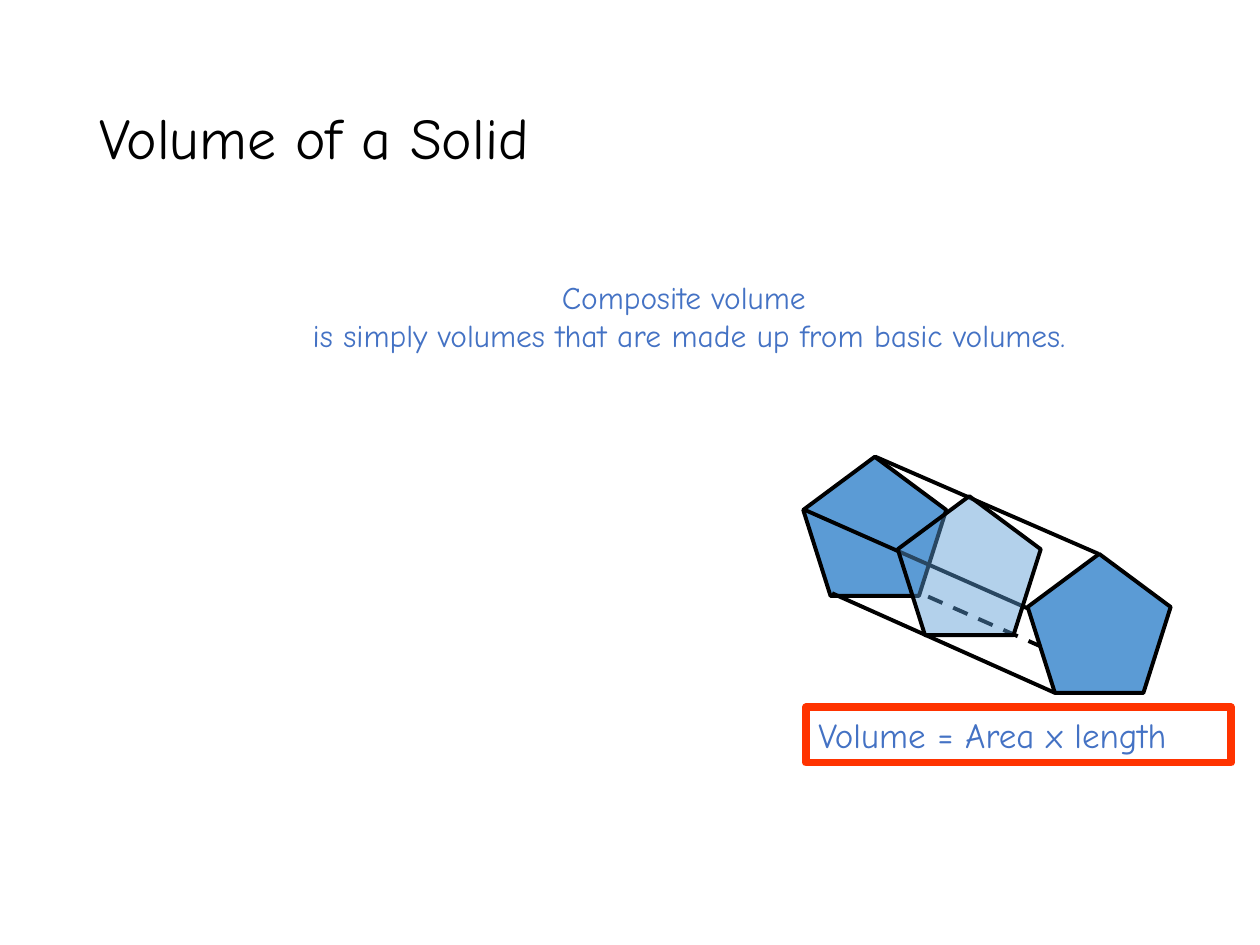
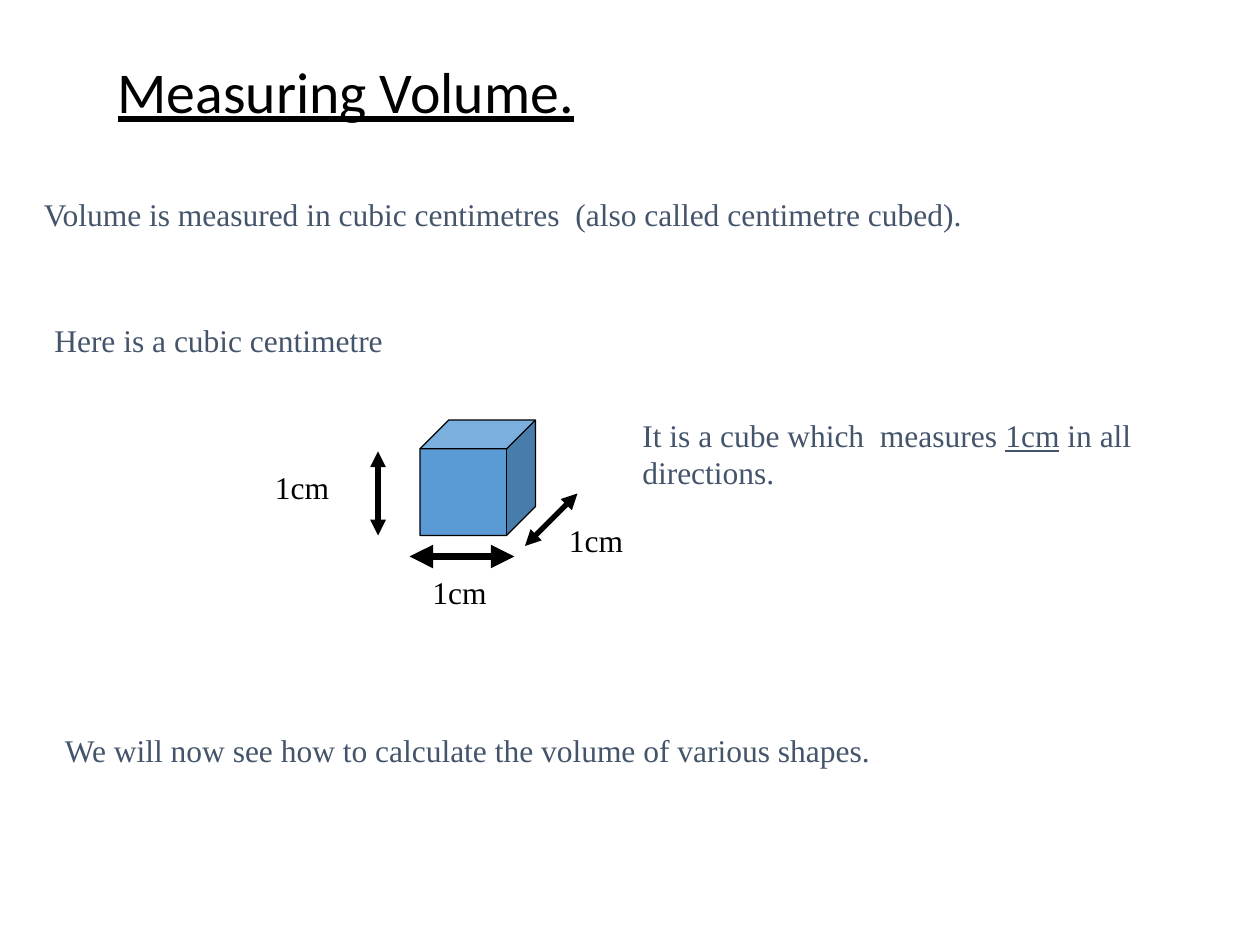
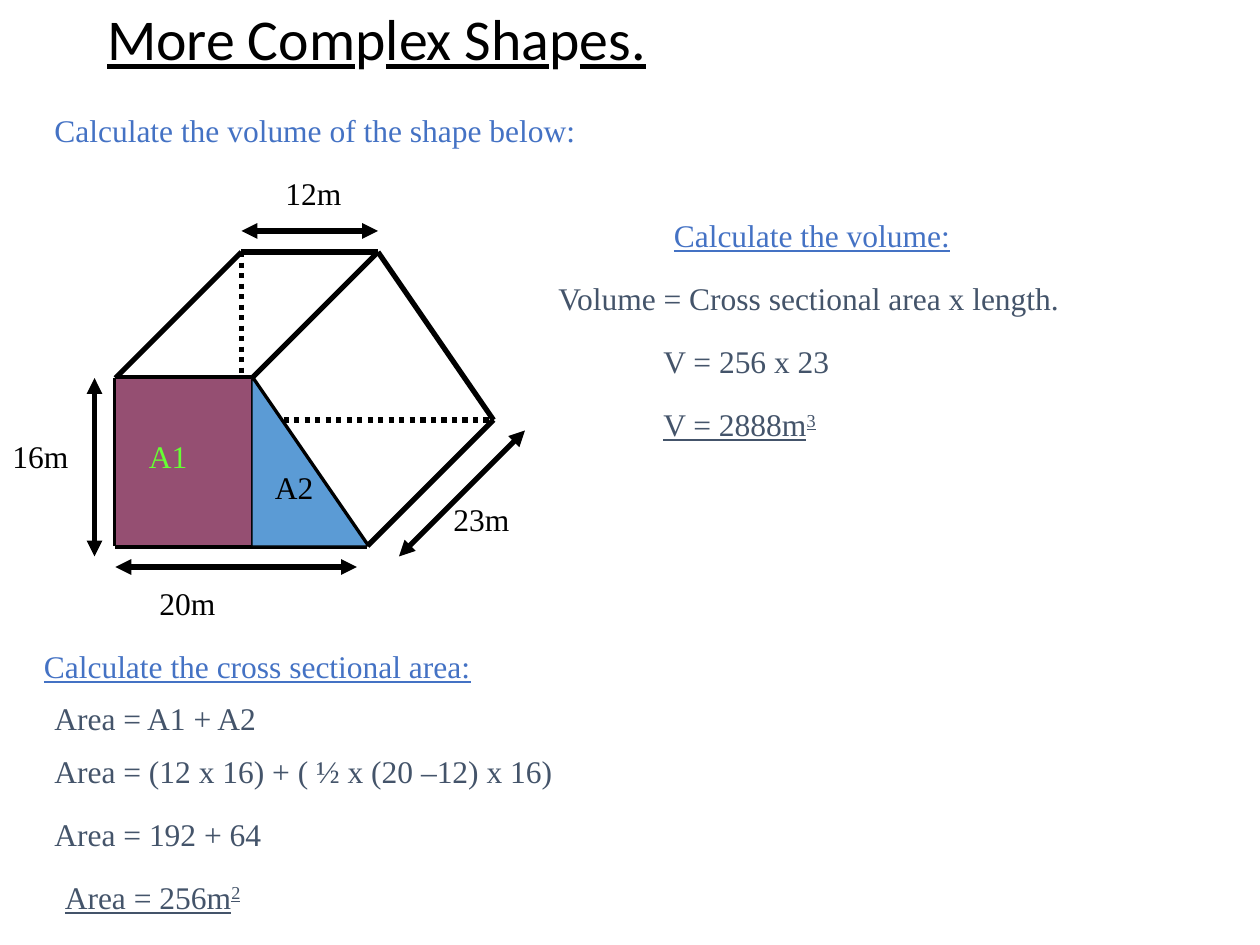
import pptx
import pptx.util
import pptx.dml.color
import pptx.enum.dml
import pptx.enum.shapes
import pptx.enum.text
import pptx.oxml.ns
import lxml.etree

RGBColor = pptx.dml.color.RGBColor
MSO_SHAPE = pptx.enum.shapes.MSO_SHAPE
DASH = pptx.enum.dml.MSO_LINE.DASH
DOT = pptx.enum.dml.MSO_LINE.ROUND_DOT
qn = pptx.oxml.ns.qn

PX = 9525
BLACK = RGBColor(0x00, 0x00, 0x00)
BLUE = RGBColor(0x44, 0x72, 0xC4)
SKY = RGBColor(0x5B, 0x9B, 0xD5)
SLATE = RGBColor(0x44, 0x54, 0x6A)
PLUM = RGBColor(0x95, 0x4F, 0x72)
GREEN = RGBColor(0x66, 0xFF, 0x33)
RED = RGBColor(0xFF, 0x33, 0x00)
COMIC = "Comic Neue"
SERIF = "Times New Roman"
SANS = "Calibri"


def add_runs(p, runs, font, size, color):
    for text, style in runs:
        r = p.add_run()
        r.text = text
        r.font.name = font
        r.font.size = pptx.util.Pt(size)
        r.font.color.rgb = color
        r.font.underline = "u" in style
        if "s" in style:
            r._r.get_or_add_rPr().set("baseline", "30000")


def add_line(slide, x1, y1, x2, y2, width, dash=None, arrows=False):
    c = slide.shapes.add_connector(
        pptx.enum.shapes.MSO_CONNECTOR.STRAIGHT, x1 * PX, y1 * PX, x2 * PX, y2 * PX)
    c.line.color.rgb = BLACK
    c.line.width = pptx.util.Pt(width)
    if dash:
        c.line.dash_style = dash
    if arrows:
        ln = c.line._get_or_add_ln()
        for end in ("a:headEnd", "a:tailEnd"):
            lxml.etree.SubElement(ln, qn(end)).set("type", "triangle")
    lxml.etree.SubElement(c._element.spPr, qn("a:effectLst"))


prs = pptx.Presentation()
prs.slide_width = 960 * PX
prs.slide_height = 720 * PX

titles = [
    (66, 38, 828, 139, COMIC, [("Volume of a Solid", "")]),
    (80, 32, 816, 80, SANS, [("Measuring Volume.", "u")]),
    (72, 0, 816, 64, SANS, [("More Com", "u"), ("p", ""), ("lex Sha", "u"),
                            ("p", ""), ("es.", "u")]),
]
for x, y, w, h, font, runs in titles:
    slide = prs.slides.add_slide(prs.slide_layouts[5])
    sp = slide.shapes.title
    sp.left, sp.top, sp.width, sp.height = x * PX, y * PX, w * PX, h * PX
    tf = sp.text_frame
    tf.auto_size = pptx.enum.text.MSO_AUTO_SIZE.NONE
    tf.vertical_anchor = pptx.enum.text.MSO_ANCHOR.MIDDLE
    p = tf.paragraphs[0]
    p.alignment = pptx.enum.text.PP_ALIGN.LEFT
    p.line_spacing = 0.9
    add_runs(p, runs, font, 33, BLACK)

solid, measuring, complex_shapes = prs.slides

prism_edges = [
    (837, 422, 667, 348, None),
    (871, 527, 699, 451, DASH),
    (784, 464, 612, 388, None),
    (804, 528, 634, 452, None),
]
house_edges = [
    (88, 416, 280, 416, None),
    (88, 416, 88, 288, None),
    (88, 288, 192, 288, None),
    (192, 288, 280, 416, None),
    (88, 288, 184, 192, None),
    (280, 416, 376, 320, None),
    (192, 288, 288, 192, None),
    (184, 192, 288, 192, None),
    (288, 192, 376, 320, None),
    (184, 192, 184, 320, DOT),
    (184, 320, 376, 320, DOT),
]
dimensions = [
    (measuring, 288, 344, 288, 408, 3),
    (measuring, 312, 424, 392, 424, 4.5),
    (measuring, 400, 416, 440, 376, 3),
    (complex_shapes, 88, 432, 272, 432, 3),
    (complex_shapes, 304, 424, 400, 328, 3),
    (complex_shapes, 184, 176, 288, 176, 3),
    (complex_shapes, 72, 288, 72, 424, 3),
]
solids = [
    (solid, MSO_SHAPE.REGULAR_PENTAGON, 612, 348, 109, 106, SKY, 2.25, None),
    (solid, MSO_SHAPE.REGULAR_PENTAGON, 783, 422, 109, 106, SKY, 2.25, None),
    (solid, MSO_SHAPE.REGULAR_PENTAGON, 684, 378, 109, 106, SKY, 2.25, 46),
    (measuring, MSO_SHAPE.CUBE, 320, 320, 88, 88, SKY, 0.75, None),
    (complex_shapes, MSO_SHAPE.RECTANGLE, 88, 288, 104, 128, PLUM, 0.75, None),
    (complex_shapes, MSO_SHAPE.RIGHT_TRIANGLE, 192, 288, 88, 128, SKY, 0.75, None),
]

for edge in house_edges:
    add_line(complex_shapes, *edge[:4], 3, edge[4])
for slide, shape, x, y, w, h, color, width, opacity in solids:
    sp = slide.shapes.add_shape(shape, x * PX, y * PX, w * PX, h * PX)
    sp.shadow.inherit = False
    sp.fill.solid()
    sp.fill.fore_color.rgb = color
    sp.line.color.rgb = BLACK
    sp.line.width = pptx.util.Pt(width)
    if opacity:
        clr = sp._element.spPr.find(qn("a:solidFill"))[0]
        lxml.etree.SubElement(clr, qn("a:alpha")).set("val", str(opacity * 1000))
    if (x, y) == (612, 348):
        for edge in prism_edges:
            add_line(solid, *edge[:4], 2.25, edge[4])
for slide, x1, y1, x2, y2, width in dimensions:
    add_line(slide, x1, y1, x2, y2, width, arrows=True)

tf = solid.shapes.add_textbox(228 * PX, 207 * PX, 594 * PX, 67 * PX).text_frame
tf.word_wrap = False
for i, text in enumerate(["Composite volume ",
                          "is simply volumes that are made up from basic volumes."]):
    p = tf.add_paragraph() if i else tf.paragraphs[0]
    p.alignment = pptx.enum.text.PP_ALIGN.CENTER
    add_runs(p, [(text, "")], COMIC, 18, BLUE)

sp = solid.shapes.add_textbox(614 * PX, 539 * PX, 324 * PX, 42 * PX)
sp.line.color.rgb = RED
sp.line.width = pptx.util.Pt(4.5)
sp.text_frame.word_wrap = True
add_runs(sp.text_frame.paragraphs[0], [("Volume = Area x length", "")], COMIC, 20, BLUE)

labels = [
    (measuring, 24, 144, 888, SLATE,
     [("Volume is measured in cubic centimetres  (also called centimetre cubed).", "")]),
    (measuring, 32, 240, 424, SLATE, [("Here is a cubic centimetre", "")]),
    (measuring, 480, 312, 392, SLATE,
     [("It is a cube which  measures ", ""), ("1cm", "u"), (" in all directions.", "")]),
    (measuring, 200, 352, 96, BLACK, [("1cm", "")]),
    (measuring, 320, 432, 80, BLACK, [("1cm", "")]),
    (measuring, 424, 392, 88, BLACK, [("1cm", "")]),
    (measuring, 40, 552, 880, SLATE,
     [("We will now see how to calculate the volume of various shapes.", "")]),
    (complex_shapes, 32, 80, 560, BLUE, [("Calculate the volume of the shape below:", "")]),
    (complex_shapes, 112, 440, 80, BLACK, [("20m", "")]),
    (complex_shapes, 336, 376, 80, BLACK, [("23m", "")]),
    (complex_shapes, 0, 328, 88, BLACK, [("16m", "")]),
    (complex_shapes, 208, 128, 96, BLACK, [("12m", "")]),
    (complex_shapes, 24, 488, 456, BLUE, [("Calculate the cross sectional area:", "u")]),
    (complex_shapes, 104, 328, 64, GREEN, [("A1", "")]),
    (complex_shapes, 200, 352, 72, BLACK, [("A2", "")]),
    (complex_shapes, 32, 528, 376, SLATE, [("Area = A1 + A2", "")]),
    (complex_shapes, 32, 568, 528, SLATE, [("Area = (12 x 16) + ( ½ x (20 –12) x 16)", "")]),
    (complex_shapes, 32, 616, 256, SLATE, [("Area = 192 + 64", "")]),
    (complex_shapes, 40, 664, 248, SLATE, [("Area = 256m", "u"), ("2", "us")]),
    (complex_shapes, 504, 160, 336, BLUE, [("Calculate the volume:", "u")]),
    (complex_shapes, 416, 208, 544, SLATE, [("Volume = Cross sectional area x length.", "")]),
    (complex_shapes, 496, 256, 224, SLATE, [("V = 256 x 23", "")]),
    (complex_shapes, 496, 304, 240, SLATE, [("V = 2888m", "u"), ("3", "us")]),
]
for slide, x, y, w, color, runs in labels:
    h = 67 if len(runs) == 3 else 38
    tf = slide.shapes.add_textbox(x * PX, y * PX, w * PX, h * PX).text_frame
    tf.word_wrap = True
    add_runs(tf.paragraphs[0], runs, SERIF, 18, color)

prs.save("out.pptx")
